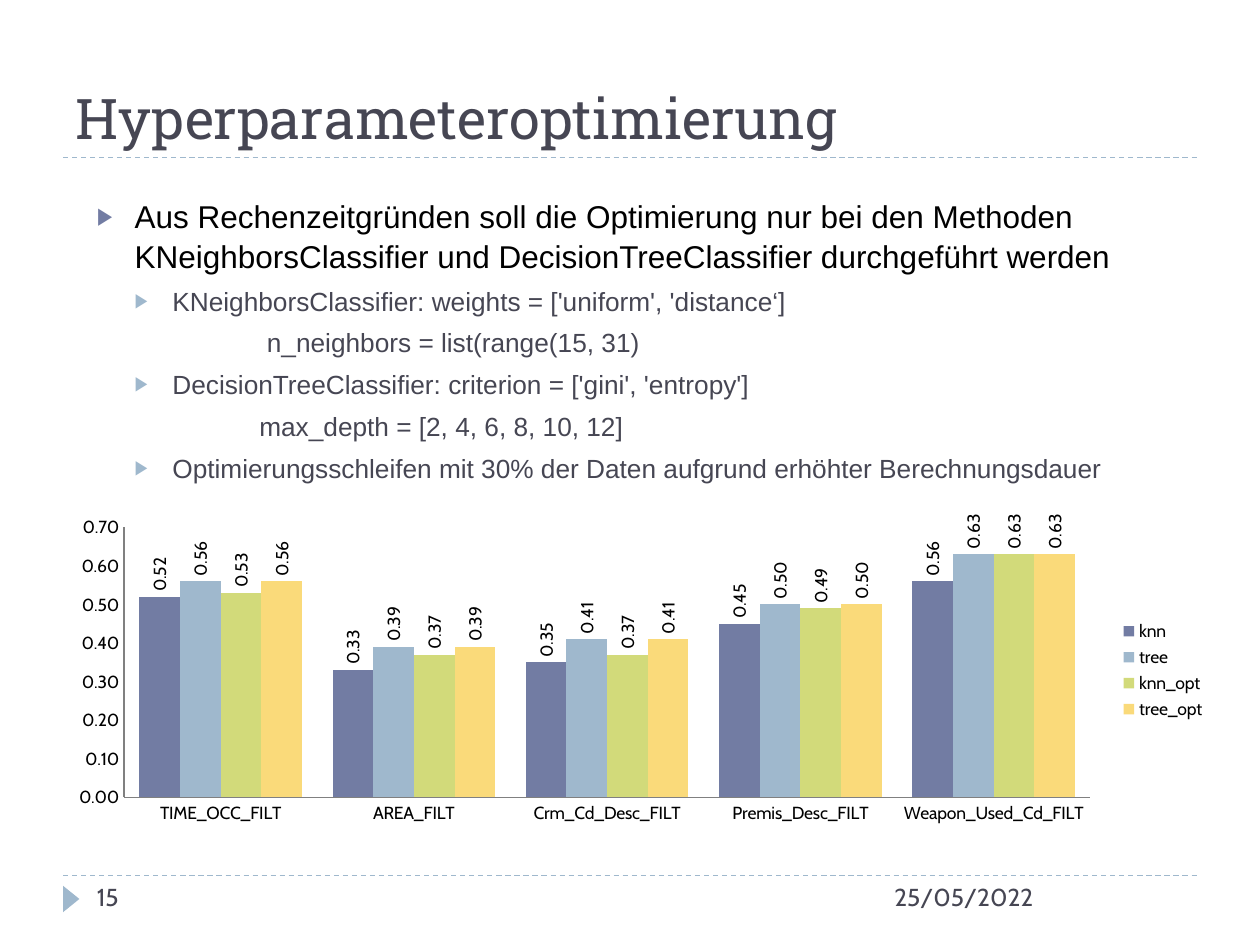
from lxml.etree import SubElement
from pptx import Presentation
from pptx.chart.data import CategoryChartData
from pptx.dml.color import RGBColor
from pptx.enum.chart import (XL_CHART_TYPE as ChartType, XL_LABEL_POSITION as LabelPos,
                             XL_LEGEND_POSITION as LegendPos, XL_TICK_MARK as Tick)
from pptx.enum.dml import MSO_LINE_DASH_STYLE as Dash
from pptx.enum.shapes import MSO_CONNECTOR as Connector, MSO_SHAPE as Shape
from pptx.enum.text import MSO_ANCHOR as Anchor, MSO_AUTO_SIZE as AutoSize, PP_ALIGN as Align
from pptx.oxml.ns import qn
from pptx.util import Pt

PX = 9144  # EMU per px, 100 px to the inch

BLACK = RGBColor(0x00, 0x00, 0x00)
SLATE = RGBColor(0x46, 0x46, 0x53)
GREY = RGBColor(0x80, 0x80, 0x80)
INDIGO = RGBColor(0x72, 0x7C, 0xA3)
SKY = RGBColor(0x9F, 0xB8, 0xCD)
LIME = RGBColor(0xD2, 0xDA, 0x7A)
AMBER = RGBColor(0xFA, 0xDA, 0x7A)

# Outline formats: size, colour, left margin, hanging indent, space before, bullet colour
MAIN = dict(level=0, size=18, color=BLACK, margin=30, hang=30, before=6, bullet=INDIGO)
SUB = dict(level=1, size=15, color=SLATE, margin=60, hang=30, before=5, bullet=SKY)
CONTINUED = dict(SUB, margin=129, hang=0, bullet=None)

OUTLINE = [
    (MAIN, "Aus Rechenzeitgründen soll die Optimierung nur bei den Methoden "
           "KNeighborsClassifier und DecisionTreeClassifier durchgeführt werden"),
    (SUB, "KNeighborsClassifier: weights = ['uniform', 'distance‘]"),
    (dict(CONTINUED, margin=135), "n_neighbors = list(range(15, 31)"),
    (SUB, "DecisionTreeClassifier: criterion = ['gini', 'entropy']"),
    (CONTINUED, "max_depth = [2, 4, 6, 8, 10, 12]"),
    (SUB, "Optimierungsschleifen mit 30% der Daten aufgrund erhöhter Berechnungsdauer"),
]

FILTERS = ["TIME_OCC_FILT", "AREA_FILT", "Crm_Cd_Desc_FILT", "Premis_Desc_FILT",
           "Weapon_Used_Cd_FILT"]
SCORES = [
    ("knn", INDIGO, (0.52, 0.33, 0.35, 0.45, 0.56)),
    ("tree", SKY, (0.56, 0.39, 0.41, 0.50, 0.63)),
    ("knn_opt", LIME, (0.53, 0.37, 0.37, 0.49, 0.63)),
    ("tree_opt", AMBER, (0.56, 0.39, 0.41, 0.50, 0.63)),
]


def emu(*lengths):
    return [length * PX for length in lengths]


def set_font(font, name, size, color):
    for key, value in dict(name=name, size=Pt(size), bold=False).items():
        setattr(font, key, value)
    font.color.rgb = color


def add_text(slide, box):
    frame = slide.shapes.add_textbox(*emu(*box)).text_frame
    frame.word_wrap = True
    return frame


def add_rule(slide, left, top, width):
    rule = slide.shapes.add_connector(Connector.STRAIGHT, *emu(left, top, left + width, top))
    for key, value in dict(width=Pt(0.75), dash_style=Dash.DASH).items():
        setattr(rule.line, key, value)
    rule.line.color.rgb = SKY
    SubElement(rule._element.spPr, qn("a:effectLst"))


def add_heading(slide, box, text):
    left, top, width, height = box
    add_rule(slide, left, top + height, width)
    title = slide.shapes.title
    title.left, title.top, title.width, title.height = emu(*box)
    frame = title.text_frame
    frame.text = text
    for key, value in dict(vertical_anchor=Anchor.BOTTOM, auto_size=AutoSize.NONE,
                           word_wrap=True).items():
        setattr(frame, key, value)
    heading = frame.paragraphs[0]
    heading.alignment = Align.LEFT
    set_font(heading.runs[0].font, "Roboto Slab", 32, SLATE)


def format_bullet(paragraph, margin, hang, color):
    props = paragraph._p.get_or_add_pPr()
    props.set("marL", str(margin * PX))
    props.set("indent", str(-hang * PX))
    if color is None:
        SubElement(props, qn("a:buNone"))
        return
    SubElement(SubElement(props, qn("a:buClr")), qn("a:srgbClr"), val=str(color))
    SubElement(props, qn("a:buSzPct"), val="76000")
    SubElement(props, qn("a:buFont"), typeface="Arial")
    SubElement(props, qn("a:buChar"), char="▶")


def add_outline(slide, box):
    frame = add_text(slide, box)
    for index, (style, text) in enumerate(OUTLINE):
        point = frame.add_paragraph() if index else frame.paragraphs[0]
        for key, value in dict(level=style["level"], line_spacing=1.05,
                               space_before=Pt(style["before"])).items():
            setattr(point, key, value)
        format_bullet(point, style["margin"], style["hang"], style["bullet"])
        run = point.add_run()
        run.text = text
        set_font(run.font, "Arial", style["size"], style["color"])


def set_plot_area(chart, **fractions):
    plot_area = chart._chartSpace.chart.plotArea
    for old in plot_area.findall(qn("c:layout")):
        plot_area.remove(old)
    layout = SubElement(plot_area, qn("c:layout"))
    plot_area.insert(0, layout)
    manual = SubElement(layout, qn("c:manualLayout"))
    settings = dict(layoutTarget="inner", xMode="edge", yMode="edge", **fractions)
    for key, value in settings.items():
        SubElement(manual, qn(f"c:{key}"), val=str(value))


def add_scores(slide, box):
    data = CategoryChartData(number_format="0.00")
    data.categories = FILTERS
    for name, _, values in SCORES:
        data.add_series(name, values)
    chart = slide.shapes.add_chart(ChartType.COLUMN_CLUSTERED, *emu(*box), data).chart
    chart.has_title = False
    set_font(chart.font, "Cabin", 10, BLACK)
    set_plot_area(chart, x=0.06, y=0.05, w=0.83, h=0.85)

    # Axes
    for axis in (chart.category_axis, chart.value_axis):
        for key, value in dict(major_tick_mark=Tick.NONE, minor_tick_mark=Tick.NONE,
                               has_major_gridlines=False).items():
            setattr(axis, key, value)
        axis.format.line.color.rgb = GREY
        axis.format.line.width = Pt(0.75)
    for key, value in dict(minimum_scale=0, maximum_scale=0.7, major_unit=0.1).items():
        setattr(chart.value_axis, key, value)
    chart.value_axis.tick_labels.number_format = "0.00"
    chart.value_axis.tick_labels.number_format_is_linked = False

    # Legend
    chart.has_legend = True
    chart.legend.position = LegendPos.RIGHT
    chart.legend.include_in_layout = False

    # Columns with upright value labels
    plot = chart.plots[0]
    for key, value in dict(gap_width=75, overlap=0, vary_by_categories=False).items():
        setattr(plot, key, value)
    for series, (_, color, _) in zip(plot.series, SCORES):
        series.format.fill.solid()
        series.format.fill.fore_color.rgb = color
        labels = series.data_labels
        for key, value in dict(show_value=True, number_format="0.00", position=LabelPos.OUTSIDE_END,
                               number_format_is_linked=False).items():
            setattr(labels, key, value)
        set_font(labels.font, "Cabin", 10, BLACK)
        body = labels._element.find(qn("c:txPr")).find(qn("a:bodyPr"))
        body.set("rot", "-5400000")
        body.set("vert", "horz")


def add_footer(slide, box):
    left, top, width, height = box
    add_rule(slide, left, top, width)
    marker = slide.shapes.add_shape(Shape.ISOSCELES_TRIANGLE, *emu(left - 4, top + 12, 21, 13))
    marker.rotation = 90
    marker.shadow.inherit = False
    marker.fill.solid()
    marker.fill.fore_color.rgb = SKY
    marker.line.fill.background()
    for text, offset, text_width in (("25/05/2022", 650, 250), ("15", 17, 217)):
        frame = add_text(slide, (left + offset, top, text_width, height))
        frame.text = text
        set_font(frame.paragraphs[0].runs[0].font, "Cabin", 14, SLATE)


def main():
    deck = Presentation()
    deck.slide_width, deck.slide_height = emu(1000, 750)
    slide = deck.slides.add_slide(deck.slide_layouts[5])
    add_heading(slide, (50, 17, 900, 108), "Hyperparameteroptimierung")
    add_footer(slide, (50, 695, 900, 40))
    add_outline(slide, (67, 150, 900, 540))
    add_scores(slide, (43, 406, 924, 252))
    deck.save("out.pptx")


if __name__ == "__main__":
    main()
